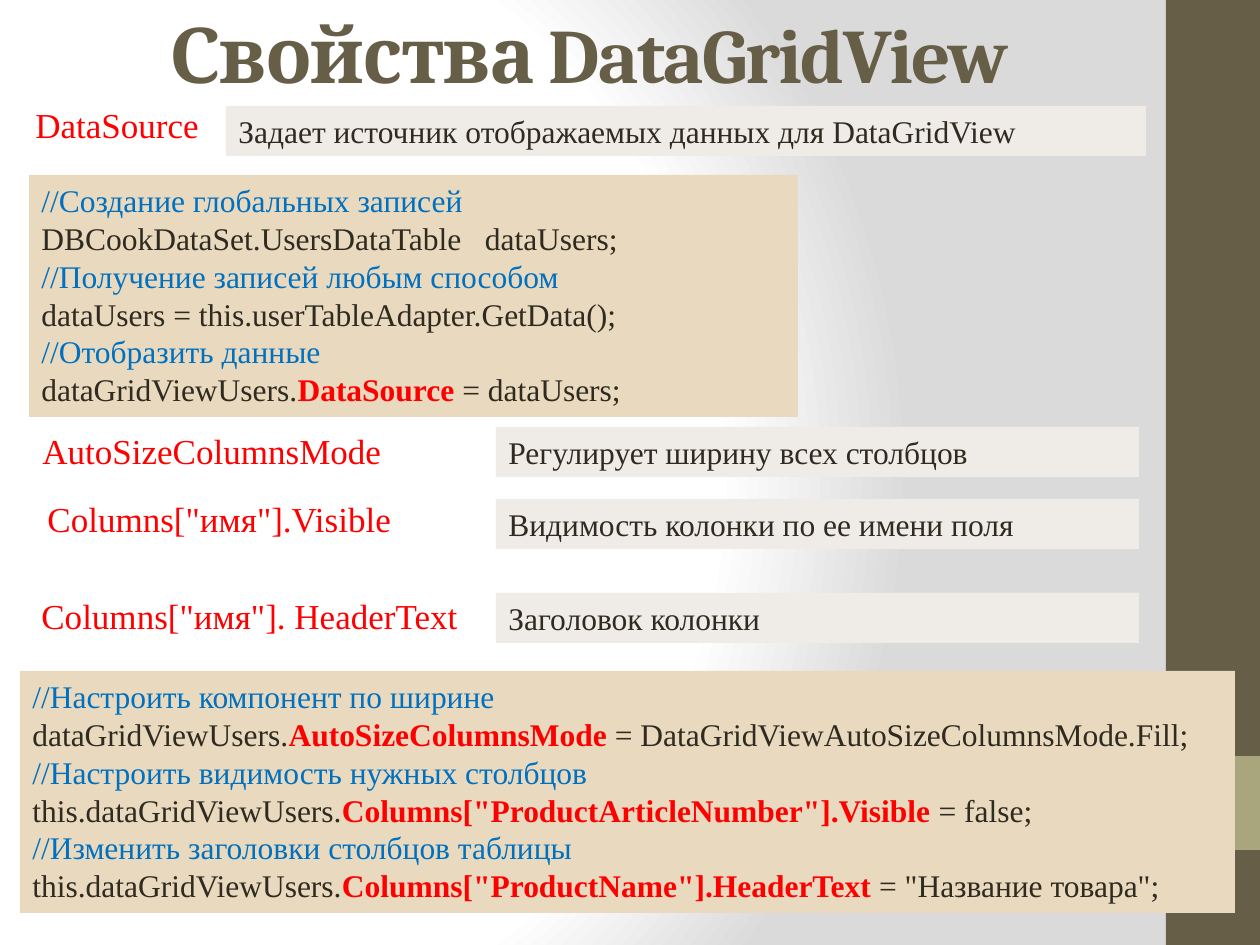
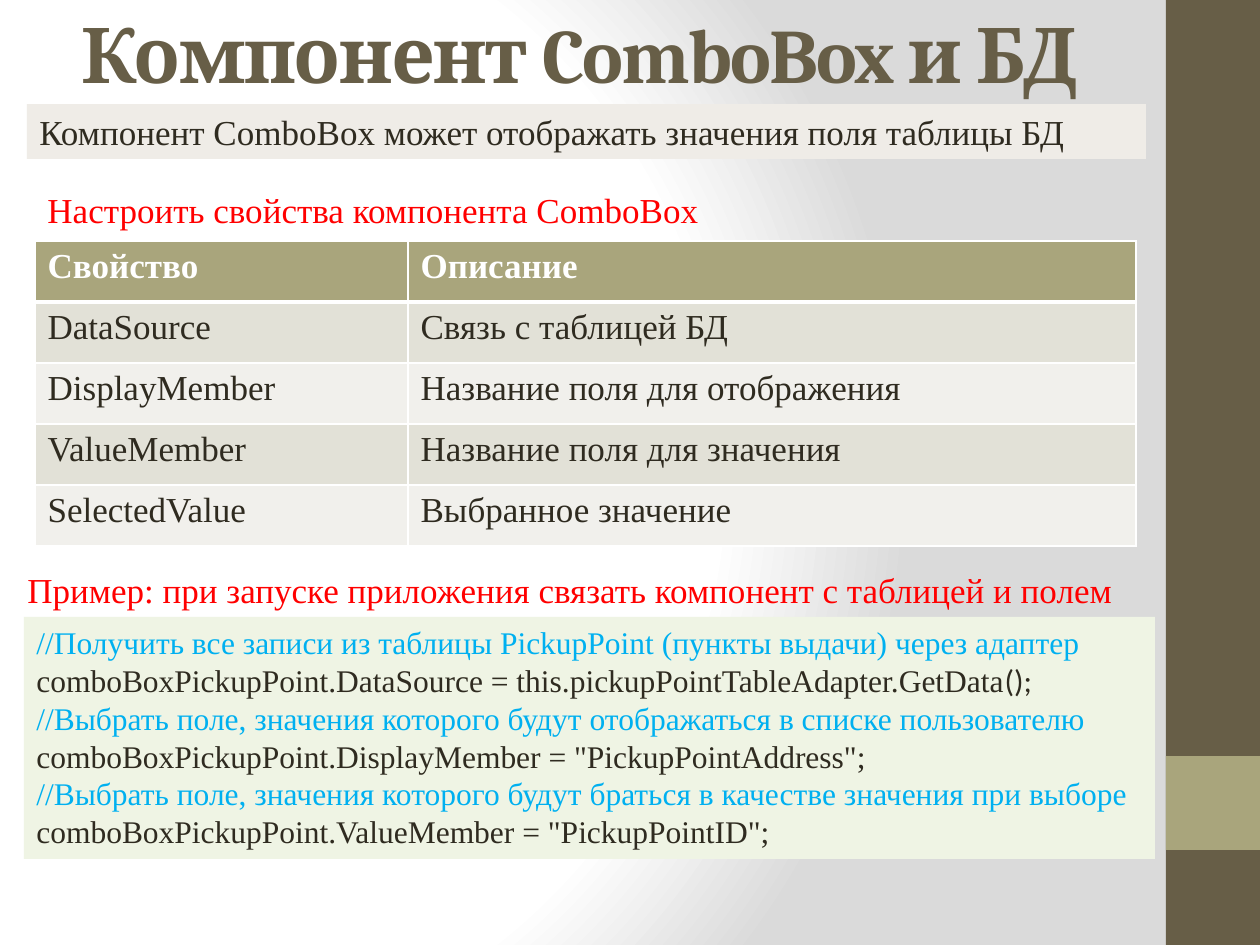
from dataclasses import dataclass, replace

from lxml import etree
from pptx import Presentation
from pptx.dml.color import RGBColor as RGB
from pptx.enum.shapes import MSO_SHAPE as SHAPE
from pptx.enum.text import MSO_ANCHOR as ANCHOR, MSO_AUTO_SIZE as AUTO, PP_ALIGN as ALIGN
from pptx.oxml.ns import nsdecls, qn
from pptx.util import Pt

SCALE = 914400 / 126


@dataclass(frozen=True)
class Type:
    """Font settings of one kind of run."""
    size: int
    color: str
    font: str = "Times New Roman"
    bold: bool = False


@dataclass(frozen=True)
class Theme:
    """Colours and type sizes shared by the slides."""
    band: str = "675E47"
    accent: str = "A9A57C"
    white: str = "FFFFFF"
    shade: str = "DADADA"
    note_fill: str = "EFECE7"
    sand: str = "E9D9BE"
    mint: str = "EFF4E4"
    stripes: tuple = ("F1F0EC", "E2E1D7")
    title: Type = Type(44, "675E47", "Cambria", True)
    label: Type = Type(20, "FF0000")
    lead: Type = Type(20, "2F2B20")
    header: Type = Type(20, "FFFFFF", bold=True)
    note: Type = Type(18, "2F2B20")
    key: Type = Type(18, "FF0000", bold=True)
    call: Type = Type(18, "2F2B20", "Calibri")
    comment: Type = Type(18, "0070C0")
    bright: Type = Type(18, "00B0F0")


T = Theme()


def emu(*lengths):
    """Turn px lengths into EMU."""
    return [round(n * SCALE) for n in lengths]


def add_run(p, text, style):
    """Append one formatted run to a paragraph."""
    r = p.add_run()
    r.text = text
    r.font.size, r.font.name, r.font.bold = Pt(style.size), style.font, style.bold
    r.font.color.rgb = RGB.from_string(style.color)
    return r


def paint(item, color):
    """Give a shape or cell a solid fill."""
    item.fill.solid()
    item.fill.fore_color.rgb = RGB.from_string(color)


def text_box(s, box, lines, fill=None):
    """Place lines of (text, style) runs in a box."""
    sp = s.shapes.add_textbox(*emu(*box))
    if fill:
        paint(sp, fill)
    tf = sp.text_frame
    tf.word_wrap = True
    tf.auto_size = AUTO.SHAPE_TO_FIT_TEXT
    for i, line in enumerate(lines):
        p = tf.paragraphs[0] if i == 0 else tf.add_paragraph()
        for text, style in line:
            add_run(p, text, style)


def set_backdrop(master):
    """Give the master its circular gradient."""
    master.background.fill.solid()
    bg = master._element.find(".//" + qn("p:bgPr"))
    stops = "".join(
        f'<a:gs pos="{pos}"><a:srgbClr val="{color}"/></a:gs>'
        for pos, color in ((0, T.white), (75000, T.white), (100000, T.shade)))
    bg[0] = etree.fromstring(
        f'<a:gradFill {nsdecls("a")} rotWithShape="1"><a:gsLst>{stops}</a:gsLst>'
        '<a:path path="circle"><a:fillToRect l="20000" t="50000" r="100000" b="50000"/>'
        '</a:path></a:gradFill>')


def side_band(s, master, box):
    """Put the side band and its accent block on the master."""
    x, y, w, h = box
    parts = (((x, y, w, h), T.band), ((x, y + h * 4 // 5, w, h // 10), T.accent))
    for i, (part, color) in enumerate(parts):
        sp = s.shapes.add_shape(SHAPE.RECTANGLE, *emu(*part))
        sp.shadow.inherit = False
        sp.line.fill.background()
        paint(sp, color)
        sp._element.nvSpPr.cNvPr.set("id", str(100 + i))
        master.shapes._spTree.insert(2 + i, sp._element)


def set_title(s, box, text):
    """Fill and place the title placeholder."""
    sp = s.shapes.title
    sp.left, sp.top, sp.width, sp.height = emu(*box)
    tf = sp.text_frame
    tf.auto_size, tf.vertical_anchor = AUTO.NONE, ANCHOR.MIDDLE
    p = tf.paragraphs[0]
    p.alignment = ALIGN.CENTER
    r = add_run(p, text, T.title)
    r.font._element.set("spc", "-100")


def property_row(s, box, split, drop, name, note):
    """Place a property name and its shaded explanation."""
    x, y, w, h = box
    text_box(s, (x + split, y + drop, w - split, h), [[(note, T.note)]], T.note_fill)
    text_box(s, (x, y, split, h), [[(name, T.label)]])


def code_panel(s, box, lines, fill, comment, mark):
    """Place code lines whose every second run is marked."""
    styled = []
    for line in lines:
        if line[0].startswith("//"):
            styled.append([(line[0], comment)])
        else:
            styled.append([(text, (T.note, mark)[i % 2]) for i, text in enumerate(line)])
    text_box(s, box, styled, fill)


def edge_cell(cell, header, below_header):
    """Draw white borders with a heavier line under the header."""
    pr = cell._tc.get_or_add_tcPr()
    heavy = {"T": below_header, "B": header}
    for i, side in enumerate("LRTB"):
        width = Pt(3 if heavy.get(side) else 1)
        pr.insert(i, etree.fromstring(
            f'<a:ln{side} {nsdecls("a")} w="{width}"><a:solidFill>'
            f'<a:srgbClr val="{T.white}"/></a:solidFill></a:ln{side}>'))


def property_table(s, box, widths, rows):
    """Place a striped table with a header row."""
    tbl = s.shapes.add_table(len(rows), len(widths), *emu(*box)).table
    for col, width in zip(tbl.columns, emu(*widths)):
        col.width = width
    for i, row in enumerate(rows):
        tbl.rows[i].height = emu(box[3] / len(rows))[0]
        for j, text in enumerate(row):
            cell = tbl.cell(i, j)
            paint(cell, T.stripes[i % 2] if i else T.accent)
            edge_cell(cell, i == 0, i == 1)
            add_run(cell.text_frame.paragraphs[0], text, T.lead if i else T.header)


def grid_slide(s):
    """Build the slide on grid properties."""
    set_title(s, (13, 0, 1152, 106), "Свойства DataGridView")
    property_row(s, (23, 97, 1123, 50), 203, 9, "DataSource",
                 "Задает источник отображаемых данных для DataGridView")
    code_panel(s, (29, 175, 769, 242), [
        ("//Создание глобальных записей",),
        ("DBCookDataSet.UsersDataTable   dataUsers;",),
        ("//Получение записей любым способом",),
        ("dataUsers = this.userTableAdapter.GetData();",),
        ("//Отобразить данные",),
        ("dataGridViewUsers.", "DataSource ", "= dataUsers;"),
    ], T.sand, T.comment, T.key)
    right, note_left = 1139, 496
    for x, y, drop, name, note in (
            (30, 423, 4, "AutoSizeColumnsMode", "Регулирует ширину всех столбцов"),
            (35, 491, 8, 'Columns["имя"].Visible', "Видимость колонки по ее имени поля"),
            (29, 588, 5, 'Columns["имя"]. HeaderText', "Заголовок колонки")):
        property_row(s, (x, y, right - x, 50), note_left - x, drop, name, note)
    code_panel(s, (20, 671, 1215, 242), [
        ("//Настроить компонент по ширине",),
        ("dataGridViewUsers.", "AutoSizeColumnsMode ",
         "= DataGridViewAutoSizeColumnsMode.Fill;"),
        ("//Настроить видимость нужных столбцов",),
        ("this.dataGridViewUsers.", 'Columns["ProductArticleNumber"].Visible ', "= false;"),
        ("//Изменить заголовки столбцов таблицы",),
        ("this.dataGridViewUsers.", 'Columns["ProductName"].HeaderText ',
         '= "Название товара";'),
    ], T.sand, T.comment, T.key)


def combo_slide(s):
    """Build the slide on binding a combo box."""
    set_title(s, (13, 0, 1134, 106), "Компонент ComboBox и БД")
    text_box(s, (35, 182, 992, 55),
             [[("Настроить свойства компонента ComboBox", T.label)]])
    property_table(s, (35, 241, 1101, 305), (373, 728), [
        ("Свойство", "Описание"),
        ("DataSource", "Связь с таблицей БД"),
        ("DisplayMember", "Название поля для отображения"),
        ("ValueMember", "Название поля для значения"),
        ("SelectedValue", "Выбранное значение"),
    ])
    code_panel(s, (24, 617, 1131, 242), [
        ("//Получить все записи из таблицы PickupPoint (пункты выдачи) через адаптер",),
        ("comboBoxPickupPoint.DataSource = this.pickupPointTableAdapter.GetData", "();"),
        ("//Выбрать поле, значения которого будут отображаться в списке пользователю",),
        ('comboBoxPickupPoint.DisplayMember = "PickupPointAddress";',),
        ("//Выбрать поле, значения которого будут браться в качестве значения при выборе",),
        ('comboBoxPickupPoint.ValueMember = "PickupPointID";',),
    ], T.mint, T.bright, T.call)
    text_box(s, (15, 562, 1140, 55), [[(
        "Пример: при запуске приложения связать компонент с таблицей и полем", T.label)]])
    text_box(s, (27, 104, 1119, 55), [[(
        "Компонент ComboBox может отображать значения поля таблицы БД", T.lead)]],
        T.note_fill)


def main():
    """Build and save the deck."""
    prs = Presentation()
    prs.slide_width, prs.slide_height = emu(1260, 945)
    slides = [prs.slides.add_slide(prs.slide_layouts[5]) for _ in range(2)]
    set_backdrop(prs.slide_master)
    side_band(slides[0], prs.slide_master, (1166, 0, 94, 945))
    for s, build in zip(slides, (grid_slide, combo_slide)):
        build(s)
    prs.save("out.pptx")


if __name__ == "__main__":
    main()
